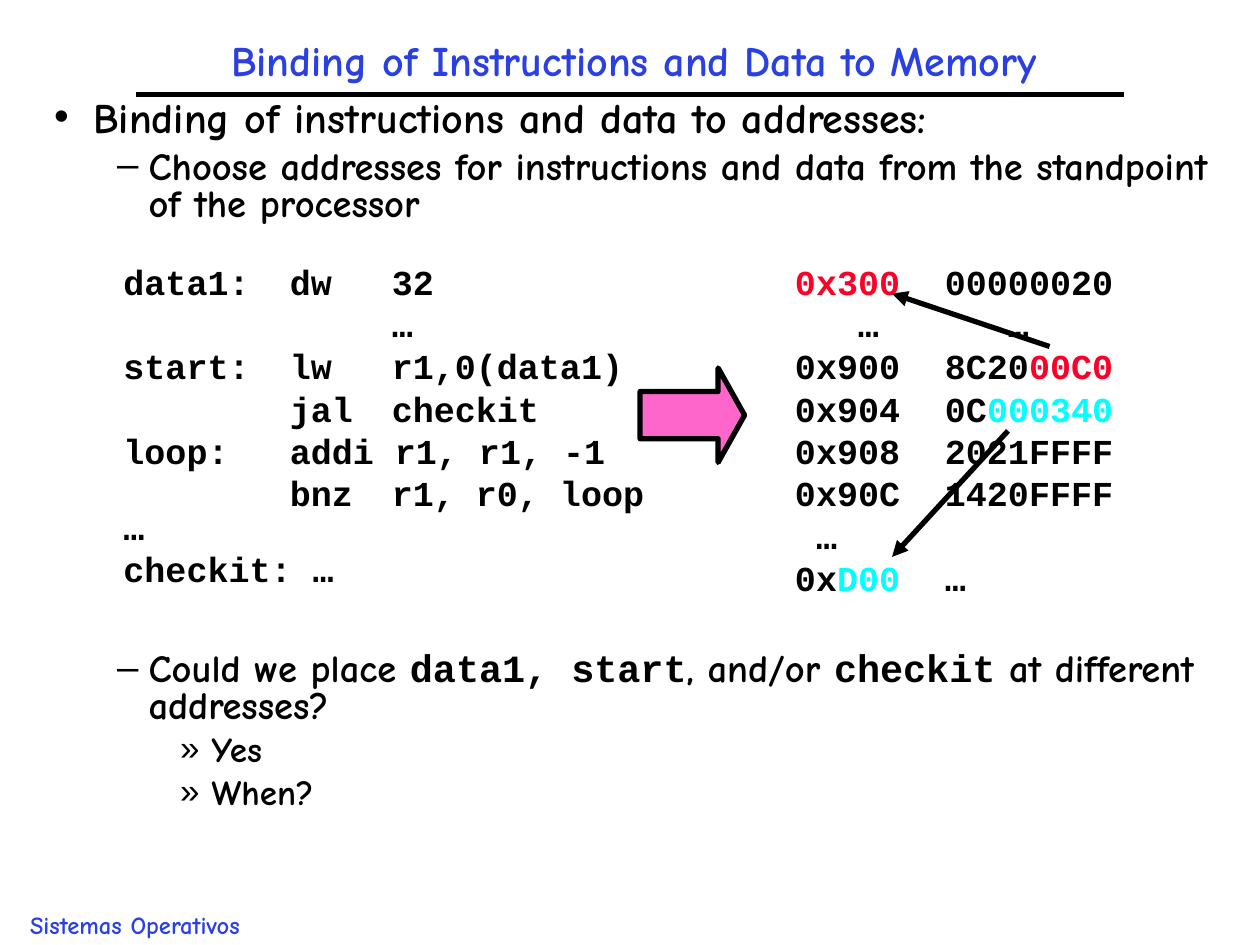
"""Build the slide on binding of instructions and data to memory."""
from dataclasses import dataclass

from lxml.etree import SubElement
from pptx import Presentation
from pptx.dml.color import RGBColor
from pptx.enum.shapes import MSO_CONNECTOR, MSO_SHAPE
from pptx.enum.text import MSO_ANCHOR, MSO_AUTO_SIZE, PP_ALIGN
from pptx.oxml.ns import qn
from pptx.util import Inches, Pt


@dataclass(frozen=True)
class Theme:
    sans: str = "Comic Neue"
    mono: str = "Courier New"
    black: str = "000000"
    blue: str = "2A40E2"
    red: str = "FC0128"
    cyan: str = "00FFFF"
    pink: str = "FF66CC"
    heading: int = 24
    point: int = 22
    code: int = 20
    footer: int = 14
    stroke: int = 3


THEME = Theme()
TITLE = "Binding of Instructions and Data to Memory"
FOOTER = "Sistemas Operativos"
CODE_GAP = 245
LEVELS = [
    dict(bullet="•", left=0.31, hang=0.31, size=THEME.heading, before=6),
    dict(bullet="–", left=0.75, hang=0.25, size=THEME.point, before=5.5),
    dict(bullet="»", left=1.25, hang=0.25, size=THEME.code, before=5),
]
POINTS = [
    (0, ["Binding of instructions and data to addresses:"], None),
    (1, ["Choose addresses for instructions and data from the standpoint of the processor"], None),
    (1, ["Could we place ", ("data1, start", THEME.mono), ", and/or ",
         ("checkit", THEME.mono), " at different addresses?"], CODE_GAP),
    (2, ["Yes"], None),
    (2, ["When?"], None),
]
BREAK = "\v"
SOURCE = dict(box=(0.75, 2.08, 4.58, 2.65), tabs=(1.32, 2.13), rows=[
    ["data1:\tdw\t32"],
    ["\t\t…"],
    ["start:\tlw\tr1,0(data1)"],
    ["\tjal\tcheckit"],
    ["loop:\taddi r1, r1, -1"],
    ["\tbnz\tr1, r0, loop", BREAK, "…"],
    ["checkit: …"],
])
MEMORY = dict(box=(6.08, 2.08, 3.17, 2.72), tabs=(0.5, 1.19, 1.69), rows=[
    [("0x300", THEME.red), "\t00000020"],
    ["\t…\t\t…"],
    ["0x900\t8C20", ("00C0", THEME.red)],
    ["0x904\t0C", ("000340", THEME.cyan)],
    ["0x908\t2021FFFF"],
    ["0x90C\t1420FFFF"],
    [" …"],
    ["0x", ("D00", THEME.cyan), "\t…"],
])
TITLE_RULE = (1.08, 0.75, 8.92, 0.75)
REFERENCES = [(8, 3.42, 7.08, 4.42), (8.33, 2.75, 7.08, 2.33)]


def inches(values):
    return [Inches(value) for value in values]


def style(font, name, size, color):
    font.name, font.size, font.bold = name, Pt(size), True
    font.color.rgb = RGBColor.from_string(color)


def paragraphs(frame, items):
    for index, item in enumerate(items):
        yield (frame.add_paragraph() if index else frame.paragraphs[0]), item


def place(shape, box):
    shape.left, shape.top, shape.width, shape.height = inches(box)


def add_bullet(paragraph, level):
    props = paragraph._p.get_or_add_pPr()
    props.set("marL", str(Inches(level["left"])))
    props.set("indent", str(-Inches(level["hang"])))
    SubElement(SubElement(props, qn("a:buClr")), qn("a:srgbClr"), val=THEME.black)
    SubElement(props, qn("a:buChar"), char=level["bullet"])


def add_title(slide):
    title = slide.shapes.title
    place(title, (0.58, 0.25, 8.9, 0.5))
    frame = title.text_frame
    frame.text = TITLE
    frame.auto_size = MSO_AUTO_SIZE.NONE
    frame.vertical_anchor = MSO_ANCHOR.MIDDLE
    heading = frame.paragraphs[0]
    heading.alignment, heading.line_spacing = PP_ALIGN.CENTER, 0.9
    style(heading.font, THEME.sans, THEME.heading, THEME.blue)


def add_points(slide):
    body = slide.placeholders[1]
    place(body, (0.33, 0.75, 9.42, 6.5))
    body.text_frame.auto_size = MSO_AUTO_SIZE.NONE
    for paragraph, (depth, parts, gap) in paragraphs(body.text_frame, POINTS):
        level = LEVELS[depth]
        paragraph.level, paragraph.line_spacing = depth, 0.8
        paragraph.space_before = Pt(gap or level["before"])
        add_bullet(paragraph, level)
        style(paragraph.font, THEME.sans, level["size"], THEME.black)
        for part in parts:
            text, face = (part, None) if isinstance(part, str) else part
            run = paragraph.add_run()
            run.text = text
            if face:
                run.font.name = face


def add_listing(slide, listing):
    frame = slide.shapes.add_textbox(*inches(listing["box"])).text_frame
    frame.word_wrap = True
    frame.margin_left = Inches(0.23)
    for paragraph, row in paragraphs(frame, listing["rows"]):
        paragraph.line_spacing, paragraph.space_before = 0.8, Pt(5)
        stops = SubElement(paragraph._p.get_or_add_pPr(), qn("a:tabLst"))
        for stop in listing["tabs"]:
            SubElement(stops, qn("a:tab"), pos=str(Inches(stop)), algn="l")
        style(paragraph.font, THEME.mono, THEME.code, THEME.black)
        for part in row:
            if part == BREAK:
                paragraph.add_line_break()
                continue
            text, color = (part, None) if isinstance(part, str) else part
            run = paragraph.add_run()
            run.text = text
            if color:
                run.font.color.rgb = RGBColor.from_string(color)


def add_line(slide, ends, arrow=False):
    line = slide.shapes.add_connector(MSO_CONNECTOR.STRAIGHT, *inches(ends))
    line.line.width = Pt(THEME.stroke)
    line.line.color.rgb = RGBColor.from_string(THEME.black)
    if arrow:
        SubElement(line.line._get_or_add_ln(), qn("a:tailEnd"), type="triangle")
    SubElement(line._element.spPr, qn("a:effectLst"))


def add_translation_arrow(slide):
    arrow = slide.shapes.add_shape(MSO_SHAPE.RIGHT_ARROW, *inches((5.08, 2.92, 0.83, 0.75)))
    arrow.adjustments[0], arrow.adjustments[1] = 0.5, 0.28
    arrow.shadow.inherit = False
    arrow.fill.solid()
    arrow.fill.fore_color.rgb = RGBColor.from_string(THEME.pink)
    arrow.line.color.rgb = RGBColor.from_string(THEME.black)
    arrow.line.width = Pt(THEME.stroke)


def add_footer(slide):
    frame = slide.shapes.add_textbox(*inches((0.14, 7.17, 1.88, 0.33))).text_frame
    frame.word_wrap = False
    frame.text = FOOTER
    style(frame.paragraphs[0].font, THEME.sans, THEME.footer, THEME.blue)


def main():
    deck = Presentation()
    deck.slide_width, deck.slide_height = inches((10, 7.5))
    slide = deck.slides.add_slide(deck.slide_layouts[1])
    add_footer(slide)
    add_line(slide, TITLE_RULE)
    add_title(slide)
    add_points(slide)
    add_translation_arrow(slide)
    for listing in (SOURCE, MEMORY):
        add_listing(slide, listing)
    for ends in REFERENCES:
        add_line(slide, ends, arrow=True)
    deck.save("out.pptx")


if __name__ == "__main__":
    main()
